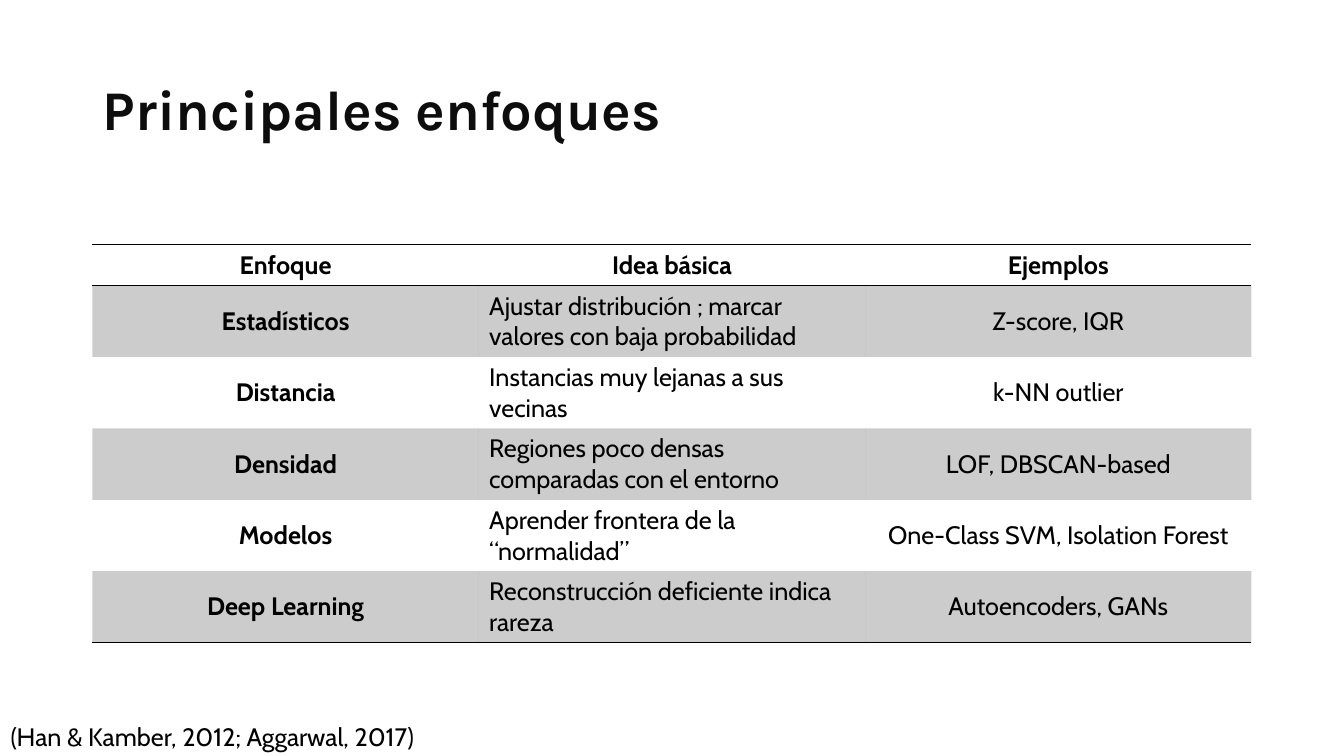
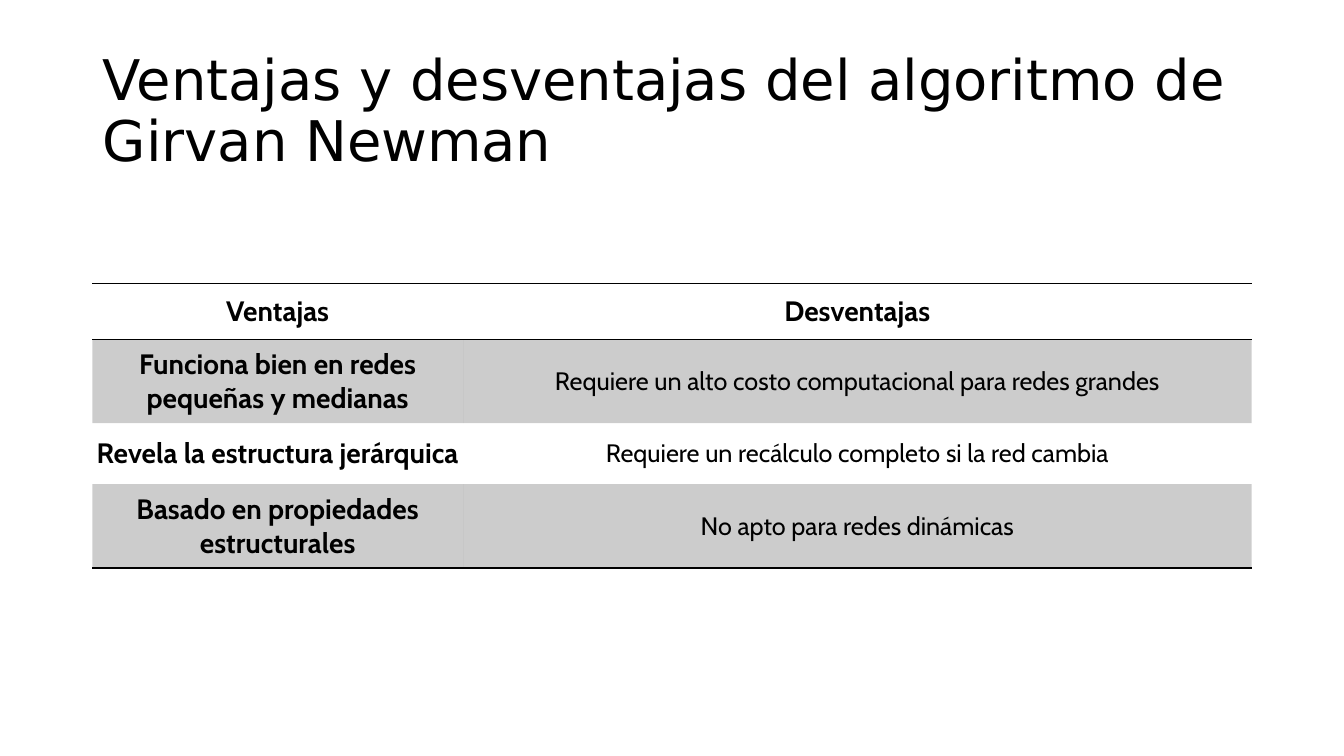
"""Build two slides, each with a title and a banded table."""
from dataclasses import dataclass
from typing import Any

from lxml import etree
from pptx import Presentation
from pptx import util as u
from pptx.dml.color import RGBColor
from pptx.enum import text
from pptx.oxml import ns

PX = 9525
HUES = {"ink": "000000", "title": "0D0D0D", "paper": "FFFFFF"}
BODY = "Cabin"
BAND = 20
PLAIN = "{2D5ABB26-0587-4C30-8999-92F81FD0307C}"
MID = text.MSO_ANCHOR.MIDDLE
LEFT, CENTER = text.PP_ALIGN.LEFT, text.PP_ALIGN.CENTER


@dataclass(frozen=True)
class Box:
    left: int
    top: int
    width: int
    height: int


@dataclass(frozen=True)
class Style:
    size: int
    bold: bool = False
    align: Any = LEFT
    pad: tuple[int, int] = (10, 5)
    face: str = BODY
    hue: str = "ink"
    lead: float = 1.0
    after: float = 0


@dataclass(frozen=True)
class Grid:
    top: int
    cols: list[int]
    rows: list[int]
    heads: list[Style]
    forms: list[Style]
    words: list[list[str]]


@dataclass(frozen=True)
class Page:
    title: str
    style: Style
    grid: Grid
    note: str = ""


TITLE = Box(88, 38, 1104, 139)
NOTE = Box(0, 682, 640, 38)

HEAD = Style(18, True, CENTER)
TEXT = Style(18)
MAIN = Grid(
    233, [368] * 3, [39] + [68] * 5,
    [HEAD] * 3, [HEAD, TEXT, Style(18, False, CENTER)],
    [
        ["Enfoque", "Idea básica", "Ejemplos"],
        ["Estadísticos", "Ajustar distribución ; marcar valores con baja probabilidad",
         "Z-score, IQR"],
        ["Distancia", "Instancias muy lejanas a sus vecinas", "k-NN outlier"],
        ["Densidad", "Regiones poco densas comparadas con el entorno", "LOF, DBSCAN-based"],
        ["Modelos", "Aprender frontera de la “normalidad”", "One-Class SVM, Isolation Forest"],
        ["Deep Learning", "Reconstrucción deficiente indica rareza", "Autoencoders, GANs"],
    ],
)
PROS = Grid(
    270, [353, 751], [53, 80, 58, 80],
    [Style(20, True, CENTER, (3, 10), after=7.5), Style(20, True, CENTER, (10, 10), after=7.5)],
    [Style(20, True, CENTER, (3, 8), after=7.5), Style(18, False, CENTER, (10, 14), after=7.5)],
    [
        ["Ventajas", "Desventajas"],
        ["Funciona bien en redes pequeñas y medianas",
         "Requiere un alto costo computacional para redes grandes"],
        ["Revela la estructura jerárquica", "Requiere un recálculo completo si la red cambia"],
        ["Basado en propiedades estructurales", "No apto para redes dinámicas"],
    ],
)
PAGES = [
    Page("Principales enfoques", Style(40, True, face="Karla", hue="title", lead=0.9),
         MAIN, "(Han & Kamber, 2012; Aggarwal, 2017)"),
    Page("Ventajas y desventajas del algoritmo de Girvan Newman",
         Style(40, face="DejaVu Sans", lead=0.9), PROS),
]


def put(item: Any, vals: dict[str, Any]) -> None:
    """Set each named value on the item."""
    for name, val in vals.items():
        setattr(item, name, val)


def pads(style: Style) -> dict[str, int]:
    """Give the four margins of a style."""
    wide, high = (n * PX for n in style.pad)
    return {"margin_left": wide, "margin_right": wide, "margin_top": high, "margin_bottom": high}


def write(frame: Any, words: str, style: Style) -> None:
    """Write one styled paragraph in a text frame."""
    para = frame.paragraphs[0]
    put(para, {"alignment": style.align, "line_spacing": style.lead,
               "space_before": u.Pt(0), "space_after": u.Pt(style.after)})
    run = para.add_run()
    run.text = words
    put(run.font, {"name": style.face, "size": u.Pt(style.size), "bold": style.bold})
    run.font.color.rgb = RGBColor.from_string(HUES[style.hue])


def label(slide: Any, box: Box, words: str, style: Style, **vals: Any) -> None:
    """Add a text box."""
    spot = (n * PX for n in (box.left, box.top, box.width, box.height))
    frame = slide.shapes.add_textbox(*spot).text_frame
    put(frame, {"word_wrap": True, **pads(style), **vals})
    write(frame, words, style)


def rule(cell: Any, side: str) -> None:
    """Draw a thin line on one side of a cell."""
    props = cell._tc.get_or_add_tcPr()
    line = etree.SubElement(props, ns.qn(f"a:ln{side}"), w=str(u.Pt(1)))
    fill = etree.SubElement(line, ns.qn("a:solidFill"))
    etree.SubElement(fill, ns.qn("a:srgbClr"), val=HUES["ink"])


def shade(cell: Any) -> None:
    """Fill a cell with a see-through band."""
    cell.fill.solid()
    cell.fill.fore_color.rgb = RGBColor.from_string(HUES["ink"])
    hue = cell._tc.tcPr.find(f"{ns.qn('a:solidFill')}/{ns.qn('a:srgbClr')}")
    etree.SubElement(hue, ns.qn("a:alpha"), val=str(BAND * 1000))


def table(slide: Any, grid: Grid) -> None:
    """Add a table with ruled head and foot and shaded odd rows."""
    last = len(grid.rows) - 1
    spot = (n * PX for n in (TITLE.left, grid.top, sum(grid.cols), sum(grid.rows)))
    tab = slide.shapes.add_table(len(grid.rows), len(grid.cols), *spot).table
    tab._tbl.tblPr.find(ns.qn("a:tableStyleId")).text = PLAIN
    for col, wide in zip(tab.columns, grid.cols):
        col.width = wide * PX
    for r, (row, high) in enumerate(zip(tab.rows, grid.rows)):
        row.height = high * PX
        forms = grid.forms if r else grid.heads
        sides = {0: "TB", last: "B"}.get(r, "")
        for cell, words, style in zip(row.cells, grid.words[r], forms):
            put(cell, {"vertical_anchor": MID, **pads(style)})
            write(cell.text_frame, words, style)
            for side in sides:
                rule(cell, side)
            if r % 2:
                shade(cell)
            else:
                cell.fill.background()


def main() -> None:
    """Build and save the deck."""
    deck = Presentation()
    put(deck, {"slide_width": 1280 * PX, "slide_height": 720 * PX})
    for page in PAGES:
        slide = deck.slides.add_slide(deck.slide_layouts[6])
        back = slide.background.fill
        back.solid()
        back.fore_color.rgb = RGBColor.from_string(HUES["paper"])
        label(slide, TITLE, page.title, page.style, vertical_anchor=MID)
        table(slide, page.grid)
        if page.note:
            label(slide, NOTE, page.note, TEXT, auto_size=text.MSO_AUTO_SIZE.SHAPE_TO_FIT_TEXT)
    deck.save("out.pptx")


if __name__ == "__main__":
    main()
